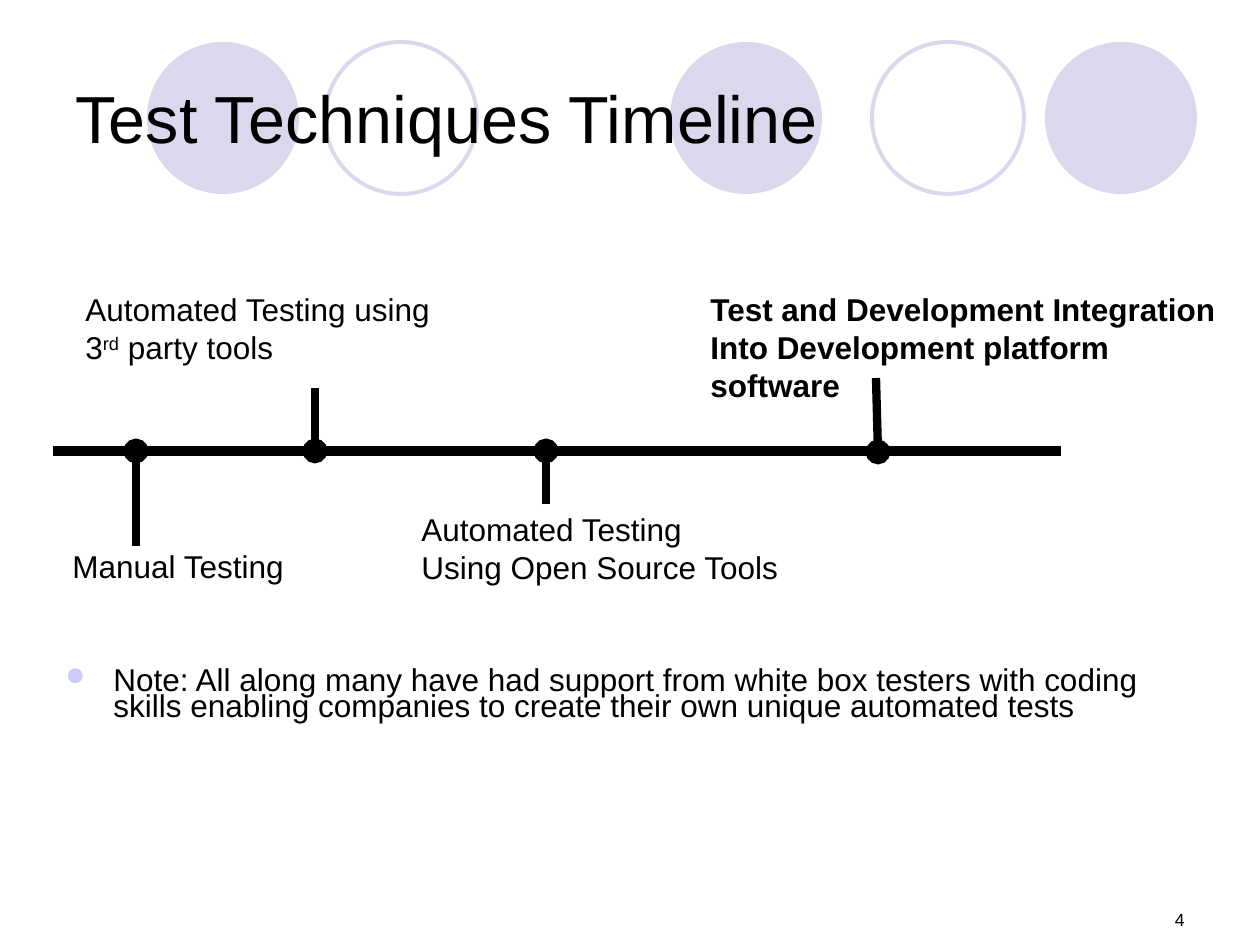
from lxml import etree
from pptx import Presentation
from pptx.dml.color import RGBColor
from pptx.enum.shapes import MSO_CONNECTOR, MSO_SHAPE
from pptx.enum.text import MSO_ANCHOR, MSO_AUTO_SIZE, PP_ALIGN
from pptx.oxml.ns import qn
from pptx.util import Emu, Pt

LINE = MSO_CONNECTOR.STRAIGHT
OVAL = MSO_SHAPE.OVAL
MIDDLE = MSO_ANCHOR.MIDDLE
FIT, FIXED = MSO_AUTO_SIZE.SHAPE_TO_FIT_TEXT, MSO_AUTO_SIZE.NONE
LEFT, RIGHT = PP_ALIGN.LEFT, PP_ALIGN.RIGHT
PER_INCH = 126
BLACK, LILAC, BULLET = "000000", "D9D8EC", "CCCCFF"

# left, top, is filled
CIRCLES = [(670, 42, True), (1045, 42, True), (147, 42, True),
           (872, 42, False), (325, 42, False)]
# stem start, point on the axis, label box, bold, lines of (text, raised) runs
EVENTS = [
    ((136, 546), (136, 451), (60, 541, 241, 50), False,
     [[("Manual Testing", False)]]),
    ((315, 388), (315, 451), (73, 284, 373, 88), False,
     [[("Automated Testing using", False)],
      [("3", False), ("rd", True), (" party tools", False)]]),
    ((546, 504), (546, 451), (409, 504, 386, 88), False,
     [[("Automated Testing", False)], [("Using Open Source Tools", False)]]),
    ((876, 378), (878, 452), (698, 284, 562, 88), True,
     [[("Test and Development Integration", False)],
      [("Into Development platform software", False)]]),
]
NOTE = ("Note: All along many have had support from white box testers with "
        "coding skills enabling companies to create their own unique "
        "automated tests")


def px(n):
    return Emu(round(n * 914400 / PER_INCH))


def rgb(code):
    return RGBColor.from_string(code)


def put(item, **values):
    """Set each named value on the item."""
    for name, value in values.items():
        setattr(item, name, value)


def place(shape, box):
    put(shape, **dict(zip(("left", "top", "width", "height"), map(px, box))))


def add_run(para, text, size, bold=False, raised=False):
    run = para.add_run()
    run.text = text
    put(run.font, name="Arial", size=Pt(size), bold=bold)
    run.font.color.rgb = rgb(BLACK)
    if raised:
        run._r.get_or_add_rPr().set("baseline", "30000")


def add_text(slide, box, lines, size=18, bold=False, align=LEFT, **frame):
    """Add a text box whose lines are lists of (text, raised) runs."""
    body = slide.shapes.add_textbox(*map(px, box)).text_frame
    put(body, **{"word_wrap": True, "auto_size": FIXED, **frame})
    for i, line in enumerate(lines):
        para = body.add_paragraph() if i else body.paragraphs[0]
        para.alignment = align
        for text, raised in line:
            add_run(para, text, size, bold, raised)
    return body


def add_line(slide, start, end, width, dot=False):
    line = slide.shapes.add_connector(LINE, *map(px, start + end))
    line.line.color.rgb = rgb(BLACK)
    line.line.width = Pt(width)
    if dot:
        tail = etree.SubElement(line.line._get_or_add_ln(), qn("a:tailEnd"))
        tail.set("type", "oval")
    etree.SubElement(line.element.spPr, qn("a:effectLst"))


def add_circle(slide, left, top, filled):
    disc = slide.shapes.add_shape(OVAL, *map(px, (left, top, 152, 152)))
    disc.shadow.inherit = False
    if filled:
        disc.fill.solid()
        disc.fill.fore_color.rgb = rgb(LILAC)
        disc.line.fill.background()
    else:
        disc.fill.background()
        disc.line.color.rgb = rgb(LILAC)
        disc.line.width = Pt(2.25)


def set_title(slide, text):
    """Fill the title and lift it above the circles."""
    title = slide.shapes.title
    place(title, (63, 38, 1134, 157))
    put(title.text_frame, word_wrap=True, auto_size=FIXED,
        vertical_anchor=MIDDLE)
    para = title.text_frame.paragraphs[0]
    para.alignment = LEFT
    add_run(para, text, 38)
    title.element.getparent().append(title.element)


def add_bullet(para):
    props = para._p.get_or_add_pPr()
    props.set("marL", str(px(48)))
    props.set("indent", str(-px(48)))
    tint = etree.SubElement(props, qn("a:buClr"))
    etree.SubElement(tint, qn("a:srgbClr")).set("val", BULLET)
    etree.SubElement(props, qn("a:buSzPct")).set("val", "80000")
    etree.SubElement(props, qn("a:buChar")).set("char", "●")


def add_note(slide):
    body = add_text(slide, (53, 630, 1124, 116), [[(NOTE, False)]],
                    margin_top=px(40))
    para = body.paragraphs[0]
    para.line_spacing = 0.7
    add_bullet(para)


def main():
    deck = Presentation()
    put(deck, slide_width=px(1260), slide_height=px(945))
    slide = deck.slides.add_slide(deck.slide_layouts[5])
    for circle in CIRCLES:
        add_circle(slide, *circle)
    set_title(slide, "Test Techniques Timeline")
    add_note(slide)
    add_line(slide, (53, 451), (1061, 451), 6)
    for start, end, box, bold, lines in EVENTS:
        add_line(slide, start, end, 4.75, dot=True)
        add_text(slide, box, lines, bold=bold, word_wrap=False, auto_size=FIT)
    add_text(slide, (1018, 903, 179, 42), [[("4", False)]], 10, align=RIGHT)
    deck.save("out.pptx")


if __name__ == "__main__":
    main()
